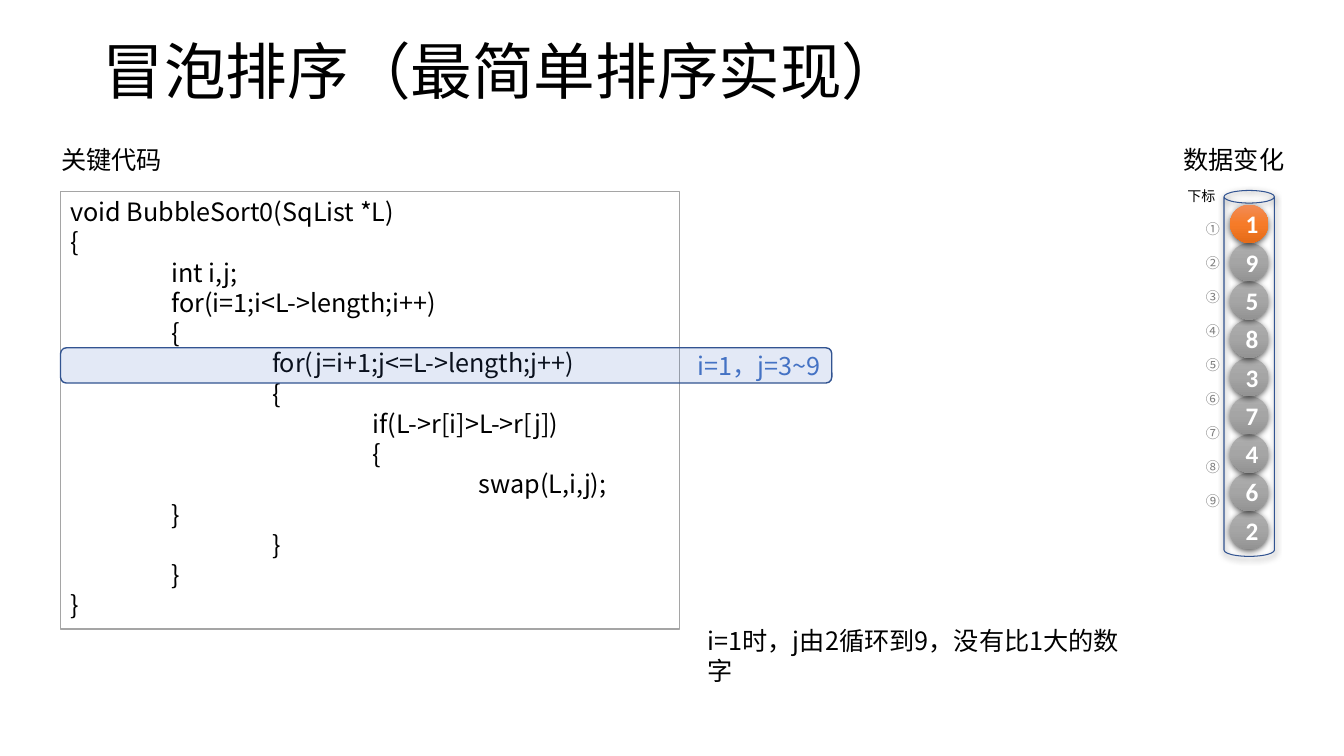
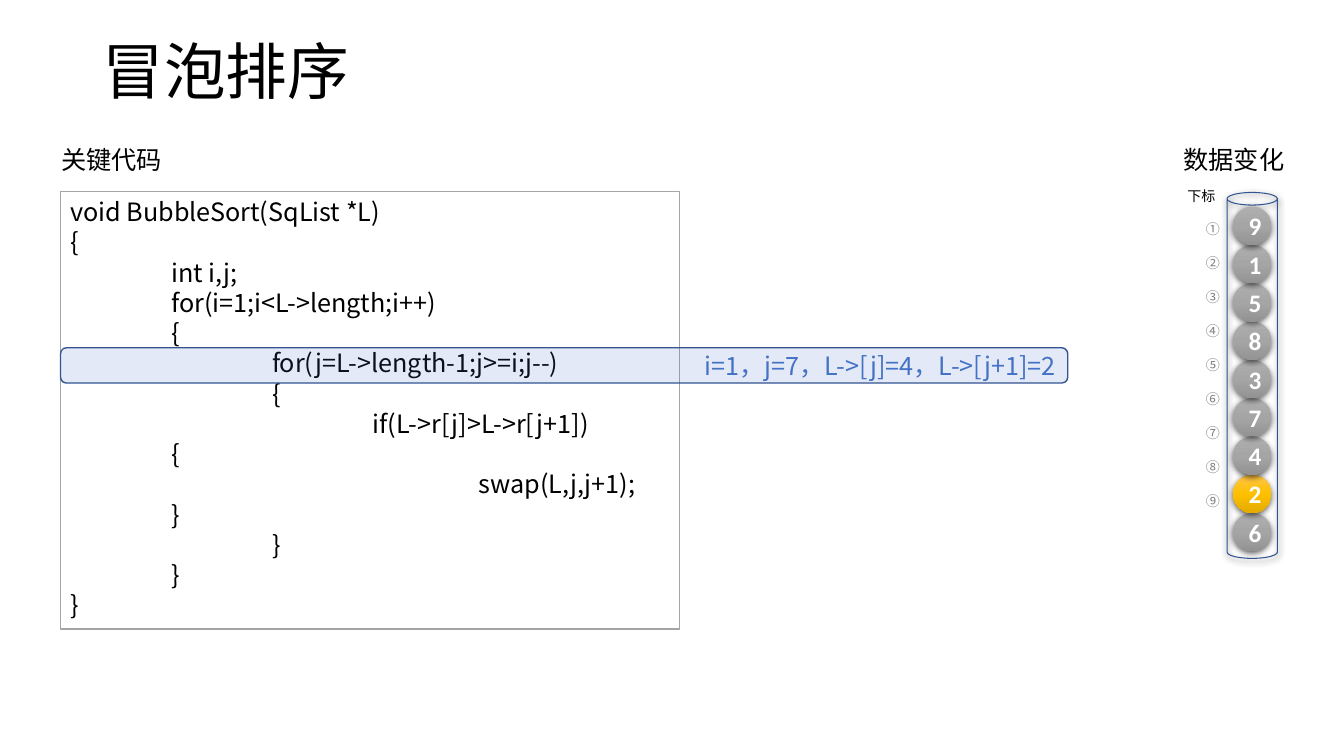
"""Build two slides that step through bubble sort."""
from copy import deepcopy

from lxml.etree import SubElement
from pptx import Presentation
from pptx.dml.color import RGBColor
from pptx.enum.shapes import MSO_SHAPE
from pptx.enum.text import MSO_ANCHOR, PP_ALIGN
from pptx.oxml.ns import qn
from pptx.util import Inches, Pt

RECT, ROUND = MSO_SHAPE.RECTANGLE, MSO_SHAPE.ROUNDED_RECTANGLE
CAN, OVAL = MSO_SHAPE.CAN, MSO_SHAPE.OVAL
TOP, MIDDLE = MSO_ANCHOR.TOP, MSO_ANCHOR.MIDDLE
LEFT, CENTER, RIGHT = PP_ALIGN.LEFT, PP_ALIGN.CENTER, PP_ALIGN.RIGHT

BLACK = RGBColor(0x00, 0x00, 0x00)
WHITE = RGBColor(0xFF, 0xFF, 0xFF)
BLUE = RGBColor(0x44, 0x72, 0xC4)
NAVY = RGBColor(0x32, 0x54, 0x91)
DIM = RGBColor(0x80, 0x80, 0x80)
SILVER = RGBColor(0xA5, 0xA5, 0xA5)
GRAY = (RGBColor(0xAF, 0xAF, 0xAF), SILVER, RGBColor(0x93, 0x93, 0x93))
ORANGE = (RGBColor(0xF1, 0x8C, 0x57), RGBColor(0xF6, 0x7B, 0x28),
          RGBColor(0xE5, 0x6C, 0x19))
GOLD = (RGBColor(0xFF, 0xC6, 0x4B), RGBColor(0xFF, 0xC0, 0x00),
        RGBColor(0xE3, 0xAB, 0x00))

SANS, DIGIT = "Noto Sans CJK SC", "Calibri"
BALL = 0.38


class Deck:
    def __init__(self):
        self.prs = Presentation()
        self.prs.slide_width = Inches(13.33)
        self.prs.slide_height = Inches(7.5)
        self.slide = None

    def start(self, title):
        self.slide = self.prs.slides.add_slide(self.prs.slide_layouts[6])
        head = self.label(title, 0.92, 0.01, 11.5, 1.45, size=44, anchor=MIDDLE)
        head.paragraphs[0].line_spacing = 0.9
        self.label("关键代码", 0.51, 1.38, 1.25)
        self.label("数据变化", 11.64, 1.38, 1.25)
        self.label("下标", 11.62, 1.81, 0.59, 0.27, size=10, align=CENTER)

    def fill_text(self, frame, text, size=18, color=BLACK, align=LEFT,
                  anchor=TOP, face=SANS, bold=False):
        frame.word_wrap = True
        frame.vertical_anchor = anchor
        frame.text = text
        for par in frame.paragraphs:
            par.alignment = align
            font = par.font
            font.size, font.bold, font.name = Pt(size), bold, face
            font.color.rgb = color
            SubElement(font._rPr, qn("a:ea"), typeface=face)
        return frame

    def label(self, text, x, y, w, h=0.4, **style):
        box = self.slide.shapes.add_textbox(
            Inches(x), Inches(y), Inches(w), Inches(h))
        return self.fill_text(box.text_frame, text, **style)

    def shape(self, kind, x, y, w, h, line=None, width=1):
        item = self.slide.shapes.add_shape(
            kind, Inches(x), Inches(y), Inches(w), Inches(h))
        item.shadow.inherit = False
        if line is None:
            item.line.fill.background()
        else:
            item.line.color.rgb = line
            item.line.width = Pt(width)
        return item

    def shade(self, item):
        effects = item._element.spPr.find(qn("a:effectLst"))
        shadow = SubElement(effects, qn("a:outerShdw"), blurRad=str(Pt(4.5)),
                            dist=str(Pt(1.5)), dir="5400000", rotWithShape="0")
        tint = SubElement(shadow, qn("a:srgbClr"), val=str(BLACK))
        SubElement(tint, qn("a:alpha"), val="63000")

    def code(self, lines):
        box = self.shape(RECT, 0.6, 1.9, 6.14, 4.34, SILVER)
        box.fill.solid()
        box.fill.fore_color.rgb = WHITE
        text = "\n".join(words for _, words in lines)
        frame = self.fill_text(box.text_frame, text)
        for par, (depth, _) in zip(frame.paragraphs, lines):
            par._p.get_or_add_pPr().set("marL", str(Inches(depth)))

    def mark(self, text, width):
        bar = self.shape(ROUND, 0.6, 3.45, width, 0.35, NAVY)
        bar.fill.solid()
        bar.fill.fore_color.rgb = BLUE
        tint = bar._element.spPr.find(qn("a:solidFill"))[0]
        SubElement(tint, qn("a:alpha"), val="15000")
        self.fill_text(bar.text_frame, text, color=BLUE, align=RIGHT,
                       anchor=MIDDLE)

    def index(self):
        frame = self.label("\n".join("①②③④⑤⑥⑦⑧⑨"), 11.88, 2.02, 0.3, 3.04,
                           size=10, color=DIM, align=CENTER)
        frame.margin_left = frame.margin_right = 0
        frame.margin_top = frame.margin_bottom = 0
        for par in frame.paragraphs:
            par.line_spacing = Pt(24.3)

    def ball(self, digit, x, y, tones):
        item = self.shape(OVAL, x, y, BALL, BALL)
        self.shade(item)
        item.fill.gradient()
        item.fill.gradient_angle = 270
        stops = item._element.spPr.find(qn("a:gradFill")).find(qn("a:gsLst"))
        stops.insert(1, deepcopy(stops[0]))
        for stop, pos, tone in zip(item.fill.gradient_stops, (0, 0.5, 1), tones):
            stop.position = pos
            stop.color.rgb = tone
        self.fill_text(item.text_frame, digit, color=WHITE, align=CENTER,
                       anchor=MIDDLE, face=DIGIT, bold=True)

    def tube(self, digits, x, y, accent):
        self.index()
        can = self.shape(CAN, x, y, 0.5, 3.63, NAVY, 0.75)
        can.fill.background()
        self.shade(can)
        for row, digit in reversed(list(enumerate(digits))):
            self.ball(digit, x + 0.06, y + 0.14 + row * BALL,
                      accent.get(digit, GRAY))


def sort_code(name, loop, test, brace, swap):
    return [
        (0, f"void {name}(SqList *L)"), (0, "{"), (1, "int i,j;"),
        (1, "for(i=1;i<L->length;i++)"), (1, "{"), (2, f"for({loop})"),
        (2, "{"), (3, f"if({test})"), (brace, "{"), (4.05, f"swap({swap});"),
        (1, "}"), (2, "}"), (1, "}"), (0, "}"),
    ]


def main():
    deck = Deck()

    deck.start("冒泡排序（最简单排序实现）")
    deck.code(sort_code("BubbleSort0", "j=i+1;j<=L->length;j++",
                        "L->r[i]>L->r[j]", 3, "L,i,j"))
    deck.mark("i=1，j=3~9", 7.65)
    deck.tube("195837462", 12.14, 1.89, {"1": ORANGE})
    deck.label("i=1时，j由2循环到9，没有比1大的数字", 6.92, 6.15, 4.51)

    deck.start("冒泡排序")
    deck.code(sort_code("BubbleSort", "j=L->length-1;j>=i;j--",
                        "L->r[j]>L->r[j+1]", 1, "L,j,j+1"))
    deck.mark("i=1，j=7，L->[j]=4，L->[j+1]=2", 9.99)
    deck.tube("915837426", 12.17, 1.91, {"2": GOLD})

    deck.prs.save("out.pptx")


if __name__ == "__main__":
    main()
